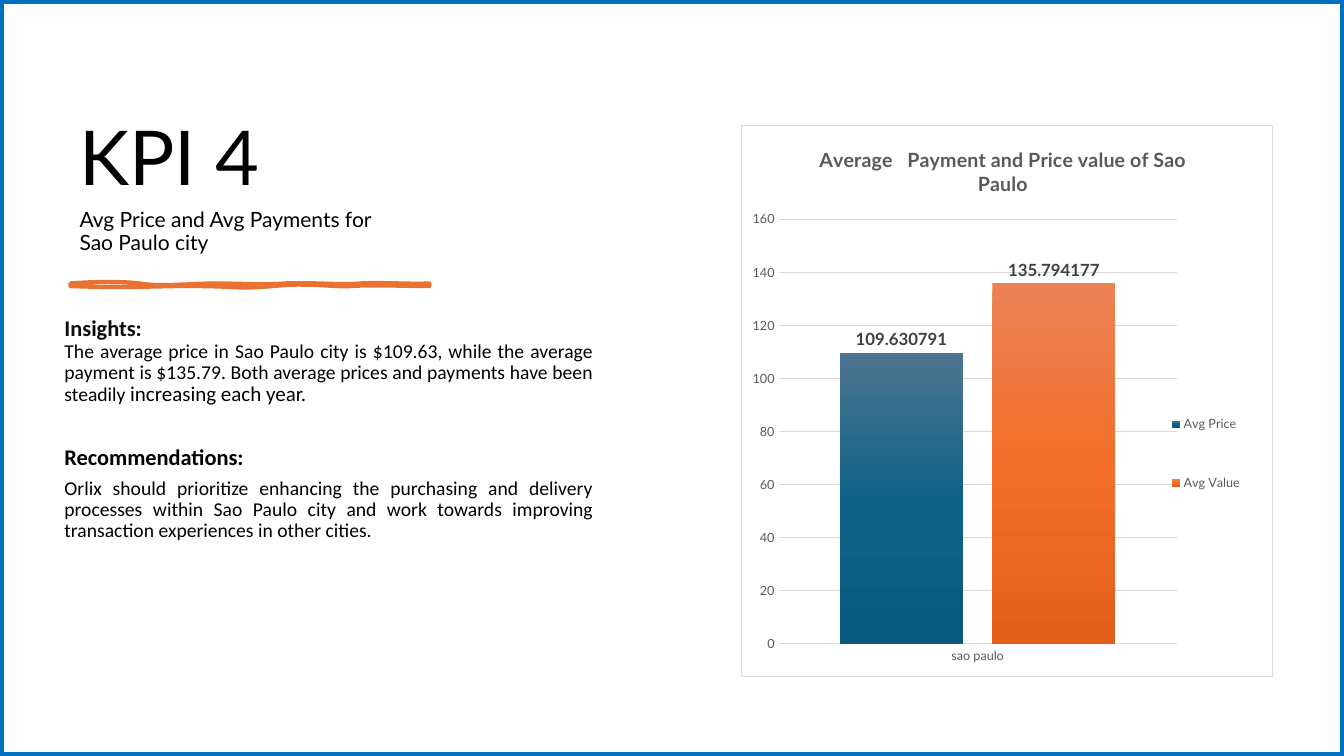
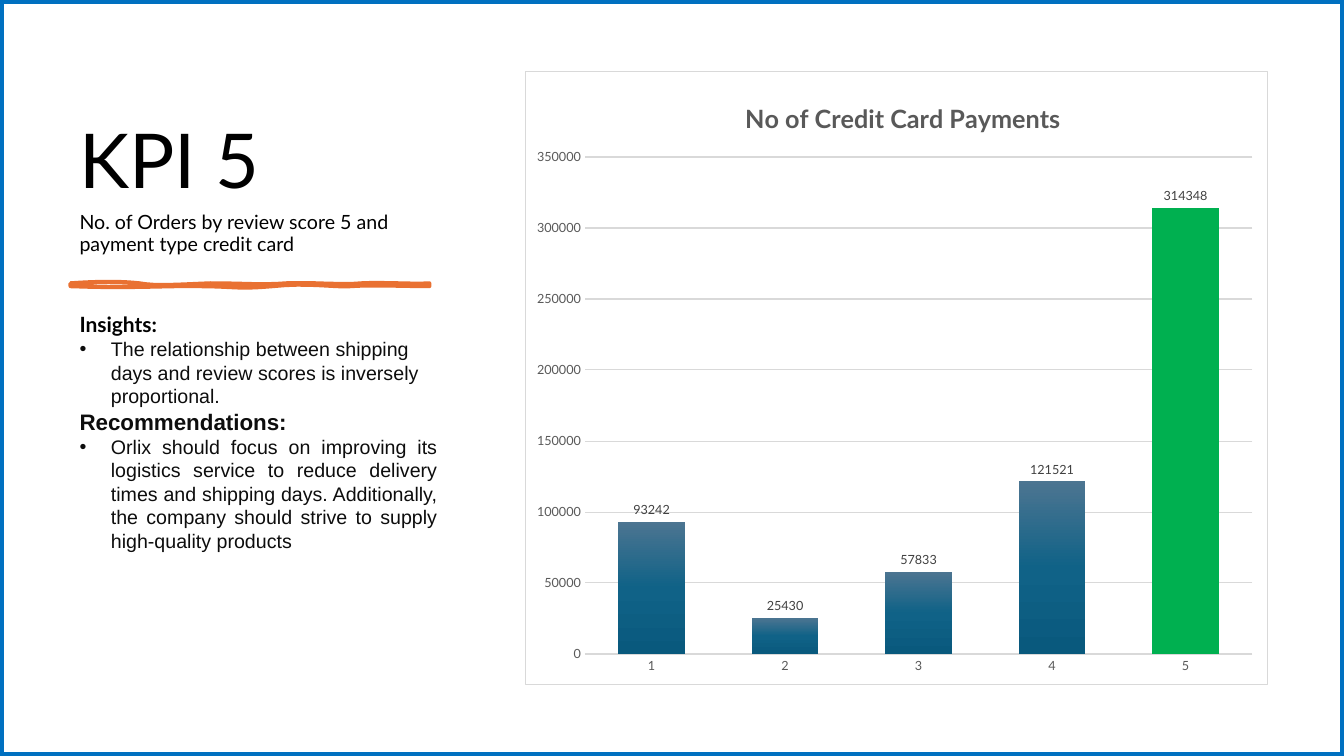
from dataclasses import dataclass

from pptx import Presentation
from pptx.chart.data import CategoryChartData
from pptx.dml.color import RGBColor
from pptx.enum.chart import XL_CHART_TYPE as ChartType
from pptx.enum.chart import XL_LABEL_POSITION as LabelPosition
from pptx.enum.chart import XL_LEGEND_POSITION as LegendPosition
from pptx.enum.chart import XL_TICK_MARK as TickMark
from pptx.enum.shapes import MSO_SHAPE as Preset
from pptx.enum.text import MSO_ANCHOR as Anchor
from pptx.enum.text import MSO_AUTO_SIZE as AutoSize
from pptx.enum.text import PP_ALIGN as Align
from pptx.oxml import parse_xml
from pptx.oxml.ns import nsdecls, qn
from pptx.util import Cm, Pt

COLORS = {
    "black": "000000",
    "ink": "0D0D0D",
    "accent": "E97132",
    "frame": "0070C0",
    "grid": "D9D9D9",
    "axis": "595959",
    "label": "404040",
    "white": "FFFFFF",
    "highlight": "00B050",
}
GRADIENTS = {
    "blue": ("4C7591", "106287", "09597D"),
    "orange": ("ED8257", "F26E29", "E25F1A"),
}
STROKE_BOX = (1.78, 7.14)
STROKE_TOP = [
    ((0.69, -0.05), (1.3, -0.05), (1.73, 0)),
    ((2.16, 0.08), (2.72, 0.03), (3.53, 0)),
    ((4.34, 0), (4.83, 0.05), (5.44, 0)),
    ((6.05, -0.03), (6.83, 0.05), (7.34, 0)),
    ((7.85, -0.03), (8.69, 0.03), (9.04, 0)),
]
STROKE_BOTTOM = [
    ((8.59, 0.07), (7.47, 0.03), (7.06, 0.07)),
    ((6.65, 0.1), (5.97, -0.03), (5.08, 0.07)),
    ((4.19, 0.15), (4.09, 0.07), (3.28, 0.07)),
    ((2.44, 0.05), (1.57, 0.13), (0, 0.07)),
]


@dataclass
class Line:
    """One paragraph with its look; tail is a closing run of another size."""

    text: str
    size: float
    font: str = "Calibri"
    color: str = "black"
    bold: bool = False
    align: Align = Align.LEFT
    spacing: float = 1.0
    after: float = 0
    bullet: bool = False
    tail: str = ""
    tail_size: float = 15


@dataclass
class ChartStyle:
    """Wording, sizes and inner layout of one column chart."""

    title: str
    title_size: float
    title_at: tuple
    plot_at: tuple
    top: float
    step: float
    label_size: float = 9
    label_bold: bool = False
    legend_at: tuple = ()
    highlight: int = -1


def rgb(name):
    """Return the named colour."""
    return RGBColor.from_string(COLORS[name])


def style_font(font, size, color, name="Lato", bold=False):
    """Set the size, colour, typeface and weight of a font."""
    font.size = Pt(size)
    font.name = name
    font.bold = bold
    font.color.rgb = rgb(color)


def fill_placeholder(placeholder, box, lines, anchor):
    """Move a text placeholder to its box and write the lines."""
    placeholder.left, placeholder.top, placeholder.width, placeholder.height = map(Cm, box)
    frame = placeholder.text_frame
    frame.auto_size = AutoSize.NONE
    frame.word_wrap = True
    frame.vertical_anchor = anchor
    for index, line in enumerate(lines):
        paragraph = frame.paragraphs[0] if index == 0 else frame.add_paragraph()
        properties = paragraph._p.get_or_add_pPr()
        indent = Cm(0.79) if line.bullet else 0
        properties.set("marL", str(indent))
        properties.set("indent", str(-indent))
        mark = 'buChar char="•"' if line.bullet else "buNone"
        properties.append(parse_xml(f"<a:{mark} {nsdecls('a')}/>"))
        paragraph.alignment = line.align
        paragraph.line_spacing = line.spacing
        paragraph.space_before = Pt(0)
        paragraph.space_after = Pt(line.after)
        style_font(paragraph.font, line.size, line.color, line.font, line.bold)
        paragraph.add_run().text = line.text
        if line.tail:
            run = paragraph.add_run()
            run.text = line.tail
            run.font.size = Pt(line.tail_size)


def sample_curves(start, curves, steps=8):
    """Return points along a chain of cubic curves."""
    points = []
    for first, second, end in curves:
        for step in range(1, steps + 1):
            t = step / steps
            u = 1 - t
            points.append(tuple(
                u**3 * a + 3 * u * u * t * b + 3 * u * t * t * c + t**3 * d
                for a, b, c, d in zip(start, first, second, end)
            ))
        start = end
    return points


def add_brush_stroke(slide, box):
    """Draw the hand-drawn rule under the title."""
    left, top = box
    outline = sample_curves((0, 0), STROKE_TOP) + [(9.04, 0.07)]
    outline += sample_curves((9.04, 0.07), STROKE_BOTTOM)
    builder = slide.shapes.build_freeform(Cm(left), Cm(top))
    builder.add_line_segments([(Cm(left + x), Cm(top + y)) for x, y in outline])
    stroke = builder.convert_to_shape()
    stroke.shadow.inherit = False
    stroke.fill.background()
    stroke.line.color.rgb = rgb("accent")
    stroke.line.width = Pt(3)


def add_frame(slide, width, height):
    """Draw the border around the whole slide."""
    frame = slide.shapes.add_shape(Preset.RECTANGLE, 0, 0, width, height)
    frame.shadow.inherit = False
    frame.fill.background()
    frame.line.color.rgb = rgb("frame")
    frame.line.width = Pt(6)


def set_layout(element, position, fractions, inner=False):
    """Give a chart part a fixed place, in fractions of the chart."""
    for old in element.findall(qn("c:layout")):
        element.remove(old)
    target = '<c:layoutTarget val="inner"/>' if inner else ""
    modes = '<c:xMode val="edge"/><c:yMode val="edge"/>'
    values = "".join(f'<c:{key} val="{value}"/>' for key, value in zip("xywh", fractions))
    element.insert(position, parse_xml(
        f"<c:layout {nsdecls('c')}><c:manualLayout>{target}{modes}{values}"
        "</c:manualLayout></c:layout>"
    ))


def fill_gradient(series, stops):
    """Fill the columns of a series from top to bottom."""
    marks = "".join(
        f'<a:gs pos="{index * 50000}"><a:srgbClr val="{color}"/></a:gs>'
        for index, color in enumerate(stops)
    )
    series._element.get_or_add_spPr().insert(0, parse_xml(
        f"<a:gradFill {nsdecls('a')} rotWithShape=\"1\"><a:gsLst>{marks}</a:gsLst>"
        '<a:lin ang="5400000" scaled="0"/></a:gradFill>'
    ))


def style_axes(chart, style):
    """Format both axes and the gridlines."""
    for axis in (chart.category_axis, chart.value_axis):
        axis.major_tick_mark = axis.minor_tick_mark = TickMark.NONE
        style_font(axis.tick_labels.font, 9, "axis")
    chart.category_axis.format.line.color.rgb = rgb("grid")
    chart.category_axis.format.line.width = Pt(1)
    values = chart.value_axis
    values.minimum_scale, values.maximum_scale = 0, style.top
    values.major_unit = style.step
    values.format.line.fill.background()
    values.has_major_gridlines = True
    values.major_gridlines.format.line.color.rgb = rgb("grid")
    values.major_gridlines.format.line.width = Pt(0.75)


def add_column_chart(slide, box, categories, series_values, style):
    """Add a column chart with gradient columns in the given box."""
    data = CategoryChartData()
    data.categories = categories
    for name, values in series_values.items():
        data.add_series(name, values)
    chart = slide.shapes.add_chart(
        ChartType.COLUMN_CLUSTERED, *map(Cm, box), data).chart
    style_font(chart.font, 10, "black")
    chart._chartSpace.find(qn("c:chart")).addnext(parse_xml(
        f"<c:spPr {nsdecls('c', 'a')}>"
        f'<a:solidFill><a:srgbClr val="{COLORS["white"]}"/></a:solidFill>'
        f'<a:ln w="9525"><a:solidFill><a:srgbClr val="{COLORS["grid"]}"/></a:solidFill></a:ln>'
        "</c:spPr>"
    ))
    chart.has_title = True
    title = chart.chart_title
    title.include_in_layout = False
    paragraph = title.text_frame.paragraphs[0]
    paragraph.add_run().text = style.title
    style_font(paragraph.font, style.title_size, "axis", bold=True)
    set_layout(title._element, 1, style.title_at)

    style_axes(chart, style)
    plot = chart.plots[0]
    plot.gap_width, plot.overlap = 100, -24
    plot.vary_by_categories = False
    set_layout(chart._chartSpace.chart.plotArea, 0, style.plot_at, inner=True)
    for series, stops in zip(plot.series, GRADIENTS.values()):
        fill_gradient(series, stops)
        labels = series.data_labels
        labels.show_value = True
        labels.position = LabelPosition.OUTSIDE_END
        style_font(labels.font, style.label_size, "label", bold=style.label_bold)
        if style.highlight >= 0:
            fill = series.points[style.highlight].format.fill
            fill.solid()
            fill.fore_color.rgb = rgb("highlight")

    chart.has_legend = bool(style.legend_at)
    if chart.has_legend:
        chart.legend.position = LegendPosition.RIGHT
        chart.legend.include_in_layout = False
        style_font(chart.legend.font, 9, "axis")
        set_layout(chart.legend._element, 1, style.legend_at)


def add_kpi_slide(presentation, title, subtitle, subtitle_size, title_width,
                  body_box, body_lines, chart_box, categories, series_values, style):
    """Add a slide with a heading and findings on the left and a chart on the right."""
    slide = presentation.slides.add_slide(presentation.slide_layouts[1])
    heading = [
        Line(title, 54, "Lato", spacing=0.9, after=6),
        Line(subtitle, subtitle_size, "Lato", spacing=0.9, after=6),
    ]
    fill_placeholder(slide.shapes.title, (1.75, 1.78, title_width, 4.78), heading, Anchor.BOTTOM)
    add_brush_stroke(slide, STROKE_BOX)
    fill_placeholder(slide.placeholders[1], body_box, body_lines, Anchor.TOP)
    add_column_chart(slide, chart_box, categories, series_values, style)
    add_frame(slide, presentation.slide_width, presentation.slide_height)


def main():
    """Build and save the presentation."""
    presentation = Presentation()
    presentation.slide_width, presentation.slide_height = Cm(33.87), Cm(19.05)
    add_kpi_slide(
        presentation, "KPI 4", "Avg Price and Avg Payments for Sao Paulo city", 15, 8.1,
        (1.37, 7.8, 13.84, 10.52),
        [
            Line("Insights:", 16, color="ink", bold=True, align=Align.JUSTIFY),
            Line("The average price in Sao Paulo city is $109.63, while the average payment "
                 "is $135.79. Both average prices and payments have been steadily ", 14,
                 align=Align.JUSTIFY, spacing=0.9, after=28, tail="increasing each year."),
            Line("Recommendations:", 16, bold=True, spacing=0.9, after=6),
            Line("Orlix should prioritize enhancing the purchasing and delivery processes within "
                 "Sao Paulo city and work towards improving transaction experiences in other "
                 "cities.", 14, align=Align.JUSTIFY, spacing=0.9, after=6),
        ],
        (18.67, 3.15, 13.41, 13.92), ["sao paulo"],
        {"Avg Price": [109.630791], "Avg Value": [135.794177]},
        ChartStyle("Average   Payment and Price value of Sao Paulo", 14, (0.14, 0.03),
                   (0.07, 0.17, 0.75, 0.77), 160, 20, label_size=12, label_bold=True,
                   legend_at=(0.8, 0.45, 0.15, 0.29)),
    )
    add_kpi_slide(
        presentation, "KPI 5", "No. of Orders by review score 5 and payment type credit card",
        14, 9.53, (1.75, 7.8, 9.53, 9.47),
        [
            Line("Insights:", 15, "Lato", bold=True, spacing=0.9),
            Line("The relationship between shipping days and review scores is inversely "
                 "proportional.", 14, "Arial", "ink", bullet=True),
            Line("Recommendations:", 16, "Arial", "ink", bold=True),
            Line("Orlix should focus on improving its logistics service to reduce delivery times "
                 "and shipping days. Additionally, the company should strive to supply "
                 "high-quality products", 14, "Arial", "ink", align=Align.JUSTIFY, bullet=True),
        ],
        (13.23, 1.78, 18.72, 15.49), ["1", "2", "3", "4", "5"],
        {"Series 1": [93242, 25430, 57833, 121521, 314348]},
        ChartStyle("No of Credit Card Payments", 18, (0.29, 0.04),
                   (0.08, 0.14, 0.9, 0.81), 350000, 50000, highlight=4),
    )
    presentation.save("out.pptx")


if __name__ == "__main__":
    main()
